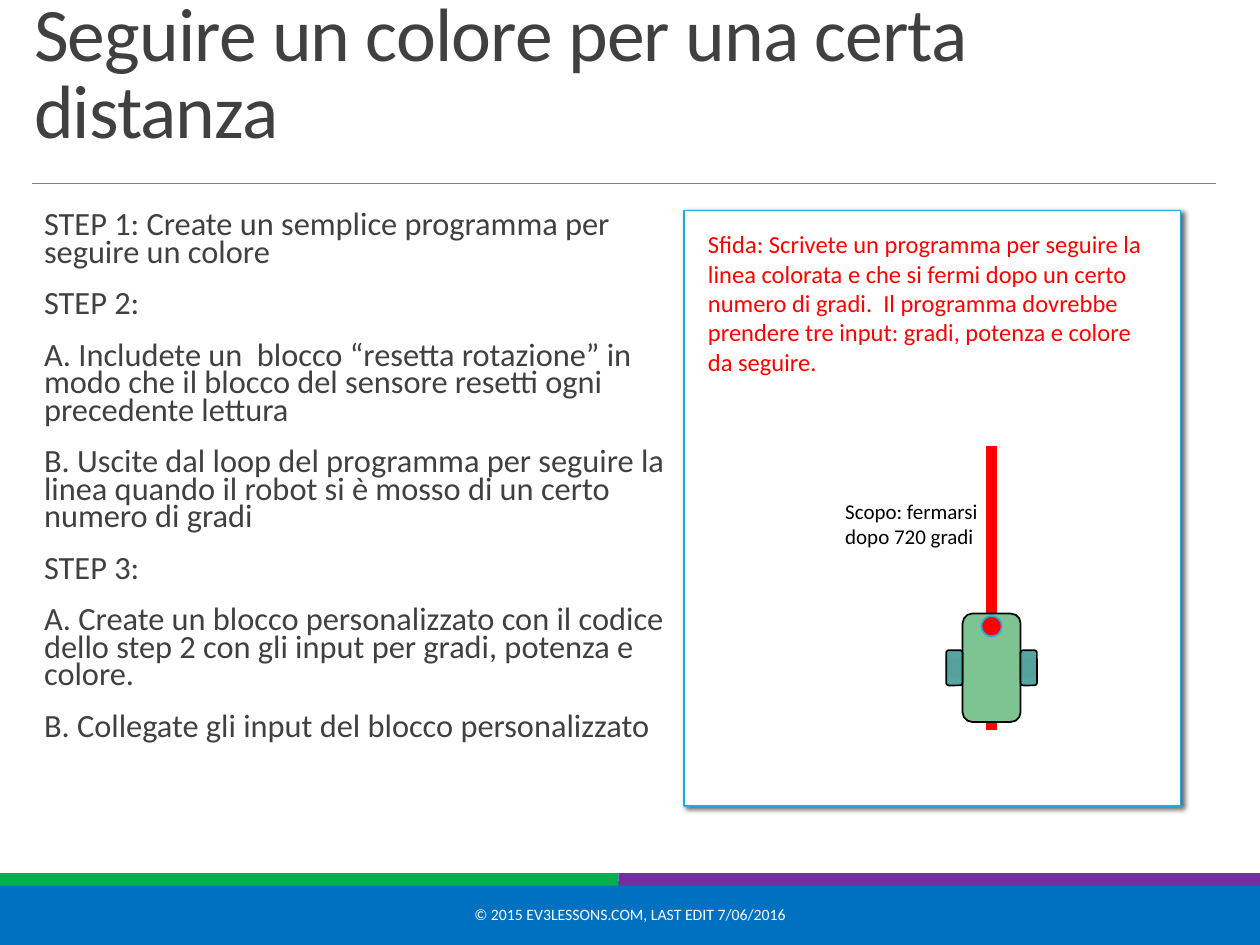
from pptx import Presentation
from pptx.dml.color import RGBColor
from pptx.enum.shapes import MSO_CONNECTOR, MSO_SHAPE
from pptx.enum.text import MSO_ANCHOR, MSO_AUTO_SIZE, PP_ALIGN
from pptx.oxml import parse_xml
from pptx.oxml.ns import nsdecls, qn
from pptx.util import Inches, Pt

RECT = MSO_SHAPE.RECTANGLE
ROUND = MSO_SHAPE.ROUNDED_RECTANGLE
OVAL = MSO_SHAPE.OVAL
STRAIGHT = MSO_CONNECTOR.STRAIGHT
LEFT, CENTER = PP_ALIGN.LEFT, PP_ALIGN.CENTER
TOP, MIDDLE, BOTTOM = MSO_ANCHOR.TOP, MSO_ANCHOR.MIDDLE, MSO_ANCHOR.BOTTOM
NO_FIT = MSO_AUTO_SIZE.NONE

CYAN, RED, GREY, BLACK, WHITE = "1CADE4", "FF0000", "404040", "000000", "FFFFFF"
BLUE, GREEN, PURPLE, MINT = "0070C0", "00B050", "7030A0", "7EC492"
TEAL = ((0, "52A19C"), (34, "55A19C"), (70, "54A5A0"), (100, "5FA6A2"))

STEPS = (
    "STEP 1: Create un semplice programma per seguire un colore",
    "STEP 2:",
    "A. Includete un  blocco “resetta rotazione” in modo che il blocco del sensore "
    "resetti ogni precedente lettura",
    "B. Uscite dal loop del programma per seguire la linea quando il robot si è mosso "
    "di un certo numero di gradi",
    "STEP 3:",
    "A. Create un blocco personalizzato con il codice dello step 2 con gli input per "
    "gradi, potenza e colore.",
    "B. Collegate gli input del blocco personalizzato",
)
TASK = ("Sfida: Scrivete un programma per seguire la linea colorata e che si fermi dopo "
        "un certo numero di gradi.  Il programma dovrebbe prendere tre input: gradi, "
        "potenza e colore da seguire.")


def color(code):
    return RGBColor.from_string(code)


def apply(target, values):
    for name, value in values.items():
        setattr(target, name, value)


def place(shape, box):
    names = ("left", "top", "width", "height")
    apply(shape, dict(zip(names, map(Inches, box))))


def block(shapes, kind, box, fill, line=None, width=1):
    shape = shapes.add_shape(kind, *map(Inches, box))
    shape.shadow.inherit = False
    if fill:
        shape.fill.solid()
        shape.fill.fore_color.rgb = color(fill)
    if line:
        shape.line.color.rgb = color(line)
        shape.line.width = Pt(width)
    else:
        shape.line.fill.background()
    return shape


def rule(shapes, start, end, code, width):
    line = shapes.add_connector(STRAIGHT, *map(Inches, start + end))
    line.line.color.rgb = color(code)
    line.line.width = Pt(width)
    line._element.spPr.append(parse_xml(f"<a:effectLst {nsdecls('a')}/>"))


def write(par, text, size, code):
    run = par.add_run()
    run.text = text
    apply(run.font, {"name": "Calibri", "size": Pt(size)})
    run.font.color.rgb = color(code)
    return run


def label(shapes, box, text, size, code, align=LEFT, anchor=TOP):
    frame = shapes.add_textbox(*map(Inches, box)).text_frame
    apply(frame, {"word_wrap": True, "vertical_anchor": anchor})
    par = frame.paragraphs[0]
    par.alignment = align
    write(par, text, size, code)


def title(holder, box):
    place(holder, box)
    frame = holder.text_frame
    apply(frame, {"word_wrap": True, "auto_size": NO_FIT, "vertical_anchor": BOTTOM})
    par = frame.paragraphs[0]
    apply(par, {"alignment": LEFT, "line_spacing": 0.85})
    run = write(par, "Seguire un colore per una certa distanza", 43.2, GREY)
    run.font._element.set("spc", "-50")


def bullet(par):
    props = par._p.get_or_add_pPr()
    props.set("marL", str(Inches(0.1)))
    props.set("indent", str(-Inches(0.1)))
    ns = nsdecls("a")
    props.append(parse_xml(f'<a:buClr {ns}><a:srgbClr val="{CYAN}"/></a:buClr>'))
    props.append(parse_xml(f'<a:buChar {ns} char=" "/>'))


def steps(holder, box):
    place(holder, box)
    frame = holder.text_frame
    apply(frame, {"word_wrap": True, "auto_size": NO_FIT, "vertical_anchor": TOP,
                  "margin_left": 0, "margin_right": 0})
    for i, text in enumerate(STEPS):
        par = frame.add_paragraph() if i else frame.paragraphs[0]
        bullet(par)
        apply(par, {"alignment": LEFT, "line_spacing": 0.7,
                    "space_before": Pt(12 if i else 0), "space_after": Pt(2)})
        write(par, text, 18.5, GREY)


def footer(shapes, box):
    x, y, w, h = box
    split, strip = 4.91, 0.1
    block(shapes, RECT, (x, y + 0.07, w, h - 0.07), BLUE, BLUE, 1.25)
    block(shapes, RECT, (x, y, split, strip), GREEN)
    block(shapes, RECT, (x + split, y, w - split, strip), PURPLE)
    label(shapes, (x + 3.02, y + 0.13, 3.96, 0.4),
          "© 2015 EV3LESSONS.COM, LAST EDIT 7/06/2016", 9, WHITE, CENTER, MIDDLE)


def wheel(shapes, box):
    shape = block(shapes, ROUND, box, None, BLACK)
    shape.fill.gradient()
    props = shape._element.spPr
    stops = "".join(f'<a:gs pos="{pos * 1000}"><a:srgbClr val="{code}"/></a:gs>'
                    for pos, code in TEAL)
    props.replace(props.find(qn("a:gradFill")), parse_xml(
        f'<a:gradFill {nsdecls("a")}><a:gsLst>{stops}</a:gsLst><a:path path="circle">'
        '<a:fillToRect l="100000" t="100000" r="100000" b="100000"/></a:path></a:gradFill>'))


def robot(shapes, box):
    x, y, w, h = box
    parts = shapes.add_group_shape().shapes
    side, tall, dot = 0.13, 0.28, 0.16
    block(parts, ROUND, (x + side, y, w - 2 * side, h), MINT, BLACK)
    for left in (x + w - side, x):
        wheel(parts, (left, y + (h - tall) / 2, side, tall))
    block(parts, OVAL, (x + (w - dot) / 2, y + 0.02, dot, dot), RED, CYAN)


def card(shapes, box):
    x, y, w, h = box
    panel = block(shapes, RECT, box, WHITE, CYAN)
    panel._element.spPr.find(qn("a:effectLst")).append(parse_xml(
        f'<a:outerShdw {nsdecls("a")} blurRad="{Pt(3)}" dist="{Pt(2)}" dir="2700000">'
        f'<a:srgbClr val="{BLACK}"><a:alpha val="60000"/></a:srgbClr></a:outerShdw>'))
    label(shapes, (x + 0.09, y + 0.1, 3.65, 1.28), TASK, 14, RED)
    track = x + 2.44
    rule(shapes, (track, y + 4.12), (track, y + 1.87), RED, 6)
    robot(shapes, (track - 0.36, y + 3.2, 0.72, 0.86))
    label(shapes, (x + 1.18, y + 2.24, 1.34, 0.5),
          "Scopo: fermarsi dopo 720 gradi", 12, BLACK)


def main():
    deck = Presentation()
    apply(deck, {"slide_width": Inches(10), "slide_height": Inches(7.5)})
    slide = deck.slides.add_slide(deck.slide_layouts[1])
    shapes = slide.shapes
    title(shapes.title, (0.17, 0.31, 9.67, 0.96))
    steps(slide.placeholders[1], (0.25, 1.65, 5.03, 5.09))
    rule(shapes, (0.25, 1.46), (9.65, 1.46), "808080", 0.5)
    footer(shapes, (0, 6.93, 10, 0.57))
    card(shapes, (5.43, 1.67, 3.94, 4.73))
    deck.save("out.pptx")


if __name__ == "__main__":
    main()
